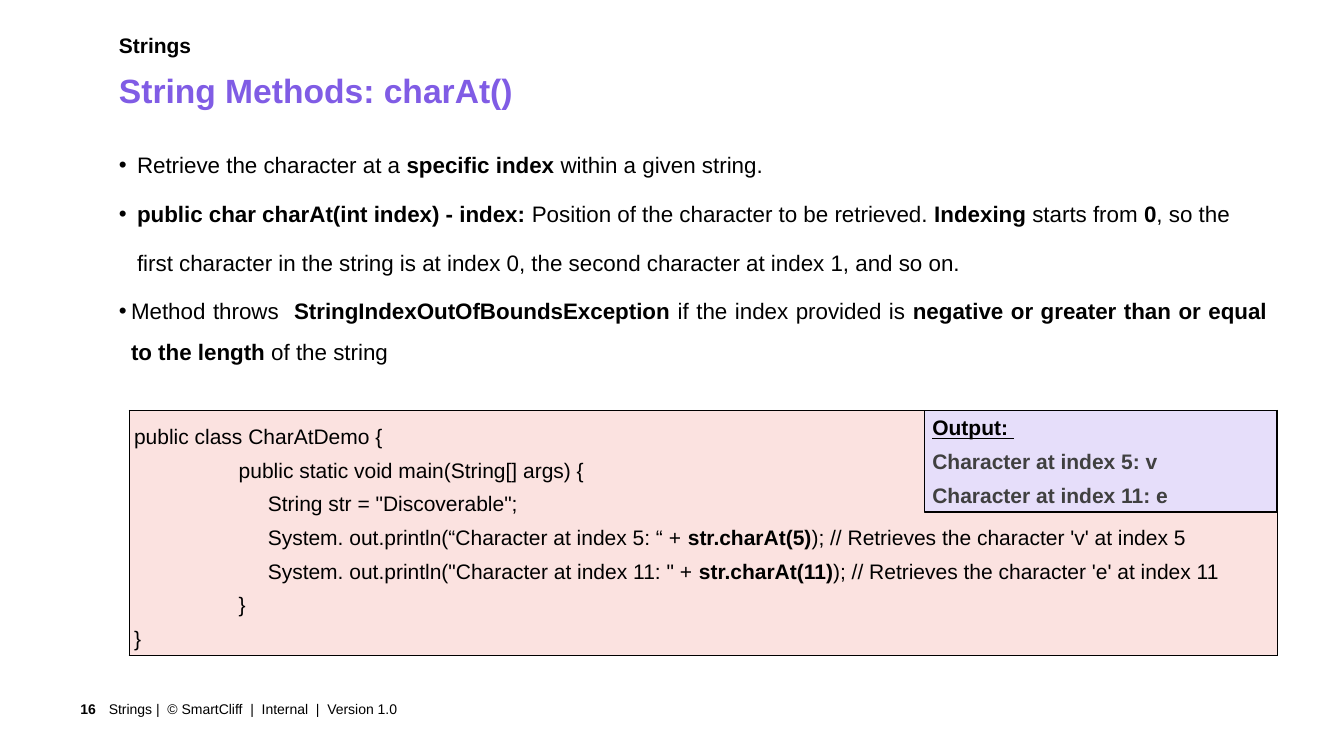
import pptx
import pptx.util
import pptx.dml.color
import pptx.enum.shapes
import pptx.enum.text
import pptx.oxml
import pptx.oxml.ns

Inches, Pt = pptx.util.Inches, pptx.util.Pt
Align = pptx.enum.text.PP_ALIGN
Anchor = pptx.enum.text.MSO_ANCHOR

WIDE, HIGH = Inches(13.333), Inches(7.5)
COLS, ROWS = 160, 90
HUES = {"ink": "000000", "title": "805CE5", "code": "FBE2E0",
        "note": "E6DEFA", "grey": "404040"}
LEFT, SPAN, BASE = 14.16, 136.68, 82.56
CODE_TOP, CODE_LEFT = 48.84, 15.36
NOTE_WIDE = 42

POINTS = [
    ("Retrieve the character at a **specific index **within a given string.", 0.18, True),
    ("**public char charAt(int index) - index: **Position of the character to be "
     "retrieved. **Indexing** starts from **0**, so the", 0.18, True),
    ("first character in the string is at index 0, the second character at "
     "index 1, and so on.", 0.18, False),
    ("Method throws  **StringIndexOutOfBoundsException** if the index provided is "
     "**negative or greater than or equal to the length** of the string", 0.12, True),
]

CODE = """public class CharAtDemo {
                  public static void main(String[] args) {
                       String str = "Discoverable";
                       System. out.println(“Character at index 5: “ + **str.charAt(5)**); // Retrieves the character 'v' at index 5
                       System. out.println("Character at index 11: " + **str.charAt(11)**); // Retrieves the character 'e' at index 11
                  }
}"""


def color(name):
    return pptx.dml.color.RGBColor.from_string(HUES[name])


def place(x, y, w, h):
    return [int(x * WIDE / COLS), int(y * HIGH / ROWS),
            int(w * WIDE / COLS), int(h * HIGH / ROWS)]


def apply(item, values):
    for name, value in values.items():
        setattr(item, name, value)


def inset(item, left=0, top=0, right=0, bottom=0):
    apply(item, {"margin_left": Inches(left), "margin_top": Inches(top),
                 "margin_right": Inches(right), "margin_bottom": Inches(bottom)})


def paint(para, text, size, hue="ink", bold=False, **font):
    for order, part in enumerate(text.split("**")):
        if part:
            run = para.add_run()
            run.text = part
            strong = bold or order % 2 == 1
            apply(run.font, {"name": "Arial", "size": Pt(size), "bold": strong, **font})
            run.font.color.rgb = color(hue)


def lines(frame, count):
    return [frame.paragraphs[0]] + [frame.add_paragraph() for _ in range(count - 1)]


def child(parent, tag, **values):
    node = pptx.oxml.parse_xml(f"<{tag} {pptx.oxml.ns.nsdecls('a')}/>")
    for name, value in values.items():
        node.set(name, str(value))
    parent.append(node)
    return node


def label(slide, box, text, size, edges=(), bold=False, **form):
    frame = slide.shapes.add_textbox(*place(*box)).text_frame
    frame.word_wrap = True
    inset(frame, *edges)
    apply(frame, {"vertical_anchor": form.get("anchor", Anchor.TOP)})
    para = frame.paragraphs[0]
    para.alignment = form.get("align", Align.LEFT)
    paint(para, text, size, bold=bold)


def head(slide, text):
    title = slide.shapes.title
    box = place(12.96, 7.68, 143.28, 5.04)
    apply(title, dict(zip(("left", "top", "width", "height"), box)))
    frame = title.text_frame
    apply(frame, {"vertical_anchor": Anchor.TOP, "word_wrap": True,
                  "auto_size": pptx.enum.text.MSO_AUTO_SIZE.NONE})
    inset(frame, 0.1, 0.05, 0.1, 0.05)
    frame.paragraphs[0].alignment = Align.LEFT
    paint(frame.paragraphs[0], text, 24, "title", True)


def points(slide):
    frame = slide.shapes.add_textbox(*place(LEFT, 16.44, SPAN, 30)).text_frame
    frame.word_wrap = True
    inset(frame)
    for order, para in enumerate(lines(frame, len(POINTS))):
        text, indent, dot = POINTS[order]
        prop = para._p.get_or_add_pPr()
        prop.set("marL", str(Inches(indent)))
        if dot:
            prop.set("indent", str(-Inches(indent)))
            child(prop, "a:buFont", typeface="Arial")
            child(prop, "a:buChar", char="•")
        apply(para, {"alignment": Align.JUSTIFY, "line_spacing": 1.5,
                     "space_before": Pt(6 if order else 0)})
        paint(para, text, 16)


def code(slide):
    box = place(CODE_LEFT, CODE_TOP, SPAN, 29.2)
    table = slide.shapes.add_table(1, 1, *box).table
    apply(table, {"first_row": False, "horz_banding": False})
    cell = table.cell(0, 0)
    cell.fill.solid()
    cell.fill.fore_color.rgb = color("code")
    inset(cell, 0.05, 0.05, 0.05, 0.05)
    rows = CODE.split("\n")
    for para, text in zip(lines(cell.text_frame, len(rows)), rows):
        para.line_spacing = Pt(24)
        paint(para, text, 15)
    prop = cell._tc.get_or_add_tcPr()
    for order, side in enumerate("LRTB"):
        edge = child(prop, f"a:ln{side}", w=Pt(0.75))
        child(child(edge, "a:solidFill"), "a:srgbClr", val=HUES["ink"])
        prop.insert(order, edge)


def note(slide):
    box = place(CODE_LEFT + SPAN - NOTE_WIDE, CODE_TOP, NOTE_WIDE, 12.12)
    shape = slide.shapes.add_shape(pptx.enum.shapes.MSO_SHAPE.RECTANGLE, *box)
    shape.shadow.inherit = False
    shape.fill.solid()
    shape.fill.fore_color.rgb = color("note")
    shape.line.color.rgb = color("ink")
    shape.line.width = Pt(1)
    frame = shape.text_frame
    apply(frame, {"word_wrap": True, "vertical_anchor": Anchor.MIDDLE})
    inset(frame, 0.08, 0.08, 0.08, 0.08)
    top, *rest = lines(frame, 3)
    top.alignment = Align.LEFT
    paint(top, "Output: ", 15, bold=True, underline=True)
    for para, text in zip(rest, ("Character at index 5: v", "Character at index 11: e")):
        apply(para, {"alignment": Align.LEFT, "line_spacing": Pt(24)})
        paint(para, text, 15, "grey", True)


def main():
    deck = pptx.Presentation()
    apply(deck, {"slide_width": WIDE, "slide_height": HIGH})
    slide = deck.slides.add_slide(deck.slide_layouts[5])
    label(slide, (5.04, BASE, 7.8, 3.72), "16", 10, (0.1, 0.05, 0.12, 0.05),
          True, anchor=Anchor.MIDDLE, align=Align.RIGHT)
    label(slide, (12.96, BASE, 112.32, 3.72),
          "Strings |  © SmartCliff  |  Internal  |  Version 1.0", 10,
          (0, 0.05, 0.1, 0.05), anchor=Anchor.MIDDLE)
    points(slide)
    label(slide, (LEFT, 3.84, 143.28, 4.92), "Strings", 15, bold=True)
    head(slide, "String Methods: charAt()")
    code(slide)
    note(slide)
    deck.save("out.pptx")


if __name__ == "__main__":
    main()
